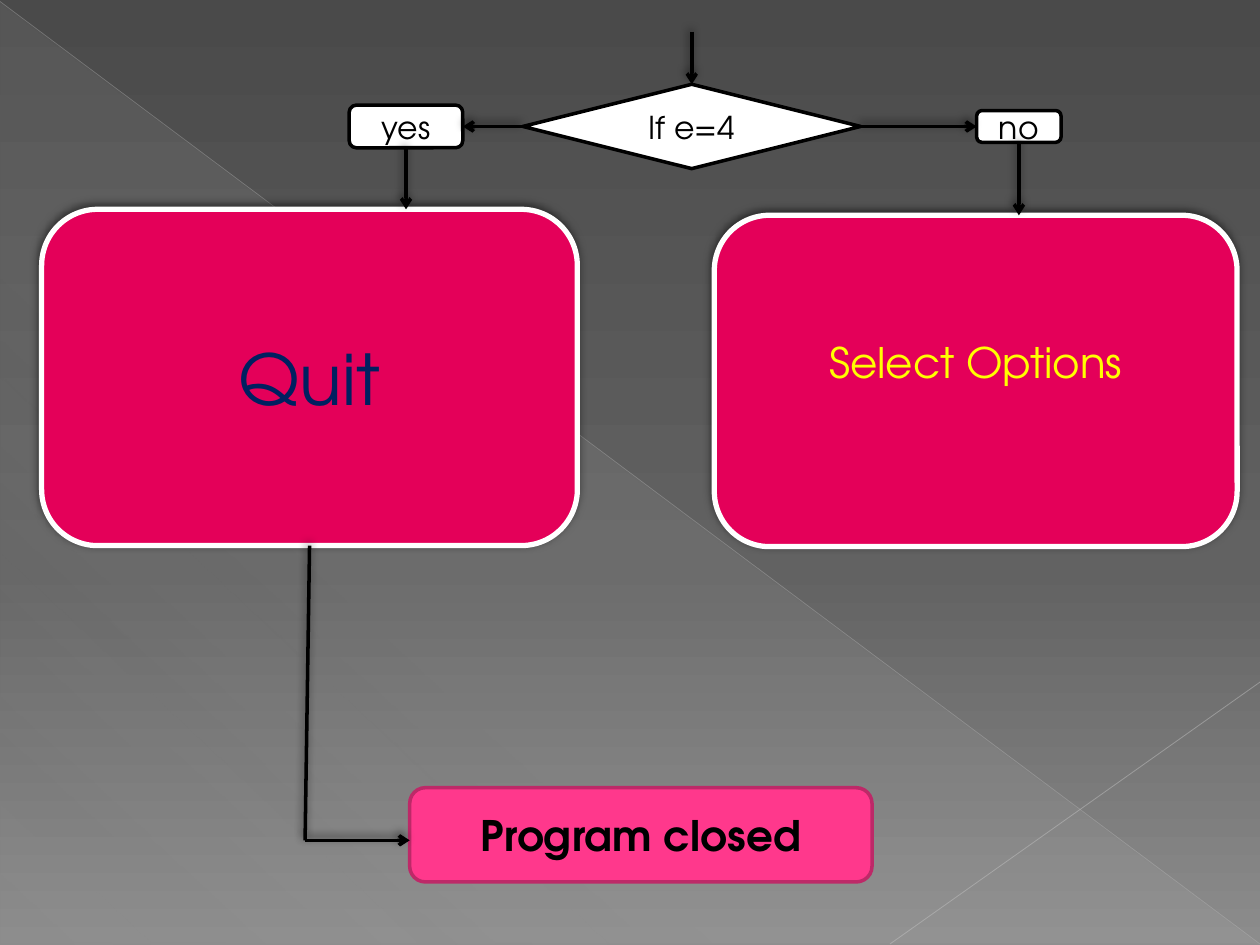
import collections

import pptx
import pptx.dml.color
import pptx.enum.shapes
import pptx.enum.text
import pptx.oxml
import pptx.oxml.ns
import pptx.util

Cm = pptx.util.Cm
Pt = pptx.util.Pt
RGBColor = pptx.dml.color.RGBColor
Kind = pptx.enum.shapes.MSO_SHAPE
Box = collections.namedtuple("Box", "left top width height")

FONT = "TeX Gyre Adventor"
BLACK = RGBColor(0x00, 0x00, 0x00)
WHITE = RGBColor(0xFF, 0xFF, 0xFF)
NAVY = RGBColor(0x00, 0x20, 0x60)
YELLOW = RGBColor(0xFF, 0xFF, 0x00)
CRIMSON = RGBColor(0xE4, 0x00, 0x59)
PINK = RGBColor(0xFF, 0x38, 0x8C)
DARK_PINK = RGBColor(0xBD, 0x29, 0x68)
CHARCOAL = RGBColor(0x4A, 0x4A, 0x4A)
GREY = RGBColor(0x62, 0x62, 0x62)
LIGHT_GREY = RGBColor(0x8C, 0x8C, 0x8C)
SHEEN = RGBColor(0xD2, 0xD2, 0xD2)
LONG_RAY = RGBColor(0xBF, 0xBF, 0xBF)
SHORT_RAY = RGBColor(0xC6, 0xC6, 0xC6)


def element(markup):
    """Parse markup of the drawing namespace."""
    head, tail = markup.split(">", 1) if not markup.split(">", 1)[0].endswith("/") else (markup[:-2], None)
    names = pptx.oxml.ns.nsdecls("a")
    return pptx.oxml.parse_xml(f"{head} {names}/>" if tail is None else f"{head} {names}>{tail}")


def set_gradient(fill, owner, stops, angle):
    """Give a fill its colour stops (position, colour, opacity) and direction."""
    fill.gradient()
    gradient = next(owner.element.iter(pptx.oxml.ns.qn("a:gradFill")))
    for child in list(gradient):
        gradient.remove(child)
    marks = "".join(
        f'<a:gs pos="{place * 1000}"><a:srgbClr val="{color}">'
        f'<a:alpha val="{opacity * 1000}"/></a:srgbClr></a:gs>'
        for place, color, opacity in stops)
    gradient.append(element(f"<a:gsLst>{marks}</a:gsLst>"))
    gradient.append(element(f'<a:lin ang="{angle * 60000}" scaled="0"/>'))


def set_effects(shape, shadow):
    """Give a shape a soft shadow, or none."""
    inner = ('<a:outerShdw blurRad="63500" dist="25400" dir="14700000" rotWithShape="0">'
             '<a:srgbClr val="000000"><a:alpha val="50000"/></a:srgbClr></a:outerShdw>')
    properties = shape.element.spPr
    for old in properties.findall(pptx.oxml.ns.qn("a:effectLst")):
        properties.remove(old)
    properties.append(element(f"<a:effectLst>{inner if shadow else ''}</a:effectLst>"))


def add_line(page, start, end, color=BLACK, width=2, arrow=True, shadow=True, opacity=100):
    """Draw a straight line between two points."""
    line = page.shapes.add_connector(pptx.enum.shapes.MSO_CONNECTOR.STRAIGHT, *start, *end)
    line.line.color.rgb = color
    line.line.width = Pt(width)
    if opacity < 100:
        tint = next(line.element.spPr.iter(pptx.oxml.ns.qn("a:srgbClr")))
        tint.append(element(f'<a:alpha val="{opacity * 1000}"/>'))
    if arrow:
        line.line._get_or_add_ln().append(element('<a:tailEnd type="arrow"/>'))
    set_effects(line, shadow)
    return line


def add_node(page, kind, box, text, size, color, fill=WHITE, outline=BLACK,
             width=2, bold=False, shadow=False):
    """Draw a flowchart node with centred text."""
    node = page.shapes.add_shape(kind, *box)
    node.fill.solid()
    node.fill.fore_color.rgb = fill
    node.line.color.rgb = outline
    node.line.width = Pt(width)
    set_effects(node, shadow)
    frame = node.text_frame
    frame.text = text
    frame.word_wrap = True
    frame.vertical_anchor = pptx.enum.text.MSO_ANCHOR.MIDDLE
    para = frame.paragraphs[0]
    para.alignment = pptx.enum.text.PP_ALIGN.CENTER
    font = para.runs[0].font
    font.name, font.size, font.bold = FONT, Pt(size), bold
    font.color.rgb = color
    return node


def center(node):
    """Return the middle point of a node."""
    return node.left + node.width // 2, node.top + node.height // 2


def draw_backdrop(page, box):
    """Draw the grey gradient, the sheen and the two rays."""
    set_gradient(page.background.fill, page,
                 [(0, CHARCOAL, 100), (60, GREY, 100), (100, LIGHT_GREY, 100)], 90)
    sheen = page.shapes.add_shape(Kind.RIGHT_TRIANGLE, *box)
    set_gradient(sheen.fill, sheen, [(0, SHEEN, 10), (70, SHEEN, 8), (100, SHEEN, 1)], 133)
    sheen.line.fill.background()
    set_effects(sheen, False)
    right, bottom = box.left + box.width, box.top + box.height
    add_line(page, (box.left, box.top), (right, bottom), LONG_RAY, 0.39, False, False, 35)
    add_line(page, (right, box.top + Cm(13.72)), (box.left + Cm(17.94), bottom),
             SHORT_RAY, 0.47, False, False, 45)


def draw_decision(page, box):
    """Draw the entry arrow, the question and its two answers."""
    question = add_node(page, Kind.FLOWCHART_DECISION,
                        Box(box.left + Cm(3.5), box.top + Cm(1.06), Cm(6.81), Cm(1.7)),
                        "If e=4", 18, BLACK)
    middle_x, middle_y = center(question)
    answers = []
    for text, left, width, height in (("yes", box.left, Cm(2.29), Cm(0.86)),
                                      ("no", box.left + box.width - Cm(1.7), Cm(1.7), Cm(0.64))):
        answers.append(add_node(page, Kind.ROUNDED_RECTANGLE,
                                Box(left, middle_y - height // 2, width, height),
                                text, 18, BLACK))
    yes, no = answers
    add_line(page, (middle_x, box.top), (middle_x, question.top))
    add_line(page, (question.left, middle_y), (yes.left + yes.width, middle_y))
    add_line(page, (question.left + question.width, middle_y), (no.left, middle_y))
    return yes, no


def draw_outcome(page, box, answer, text, size, color):
    """Draw a large outcome panel and the arrow from its answer."""
    panel = add_node(page, Kind.ROUNDED_RECTANGLE, box, text, size, color,
                     CRIMSON, WHITE, 3, shadow=True)
    answer_x = center(answer)[0]
    add_line(page, (answer_x, answer.top + answer.height), (answer_x, box.top))
    return panel


def draw_ending(page, box, source):
    """Draw the closing node and the bent path from its source."""
    add_node(page, Kind.ROUNDED_RECTANGLE, box, "Program closed", 24, BLACK,
             PINK, DARK_PINK, bold=True)
    corner = (box.left - Cm(2.11), box.top + Cm(1.06))
    add_line(page, (center(source)[0], source.top + source.height), corner, arrow=False)
    add_line(page, corner, (box.left, corner[1]))


def main():
    """Build the flowchart slide."""
    deck = pptx.Presentation()
    deck.slide_width, deck.slide_height = Cm(25.4), Cm(19.05)
    page = deck.slides.add_slide(deck.slide_layouts[6])
    draw_backdrop(page, Box(Cm(0), Cm(0.03), Cm(25.4), Cm(19)))
    yes, no = draw_decision(page, Box(Cm(7.04), Cm(0.64), Cm(14.35), Cm(2.76)))
    leave = draw_outcome(page, Box(Cm(0.84), Cm(4.22), Cm(10.8), Cm(6.78)),
                         yes, "Quit", 40, NAVY)
    select = draw_outcome(page, Box(Cm(14.4), Cm(4.34), Cm(10.54), Cm(6.68)),
                          no, "Select Options", 24, YELLOW)
    select.text_frame.margin_bottom = Cm(0.9)
    draw_ending(page, Box(Cm(8.26), Cm(15.88), Cm(9.32), Cm(1.9)), leave)
    deck.save("out.pptx")


main()
